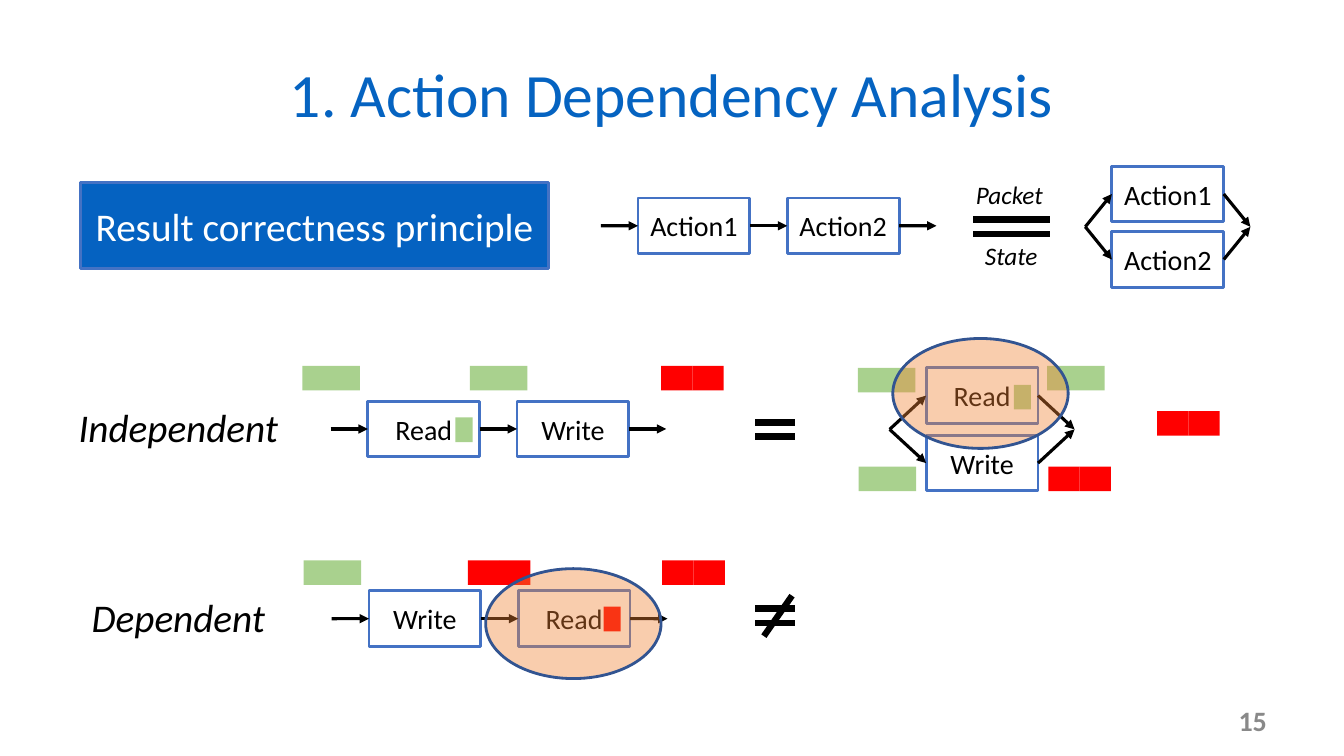
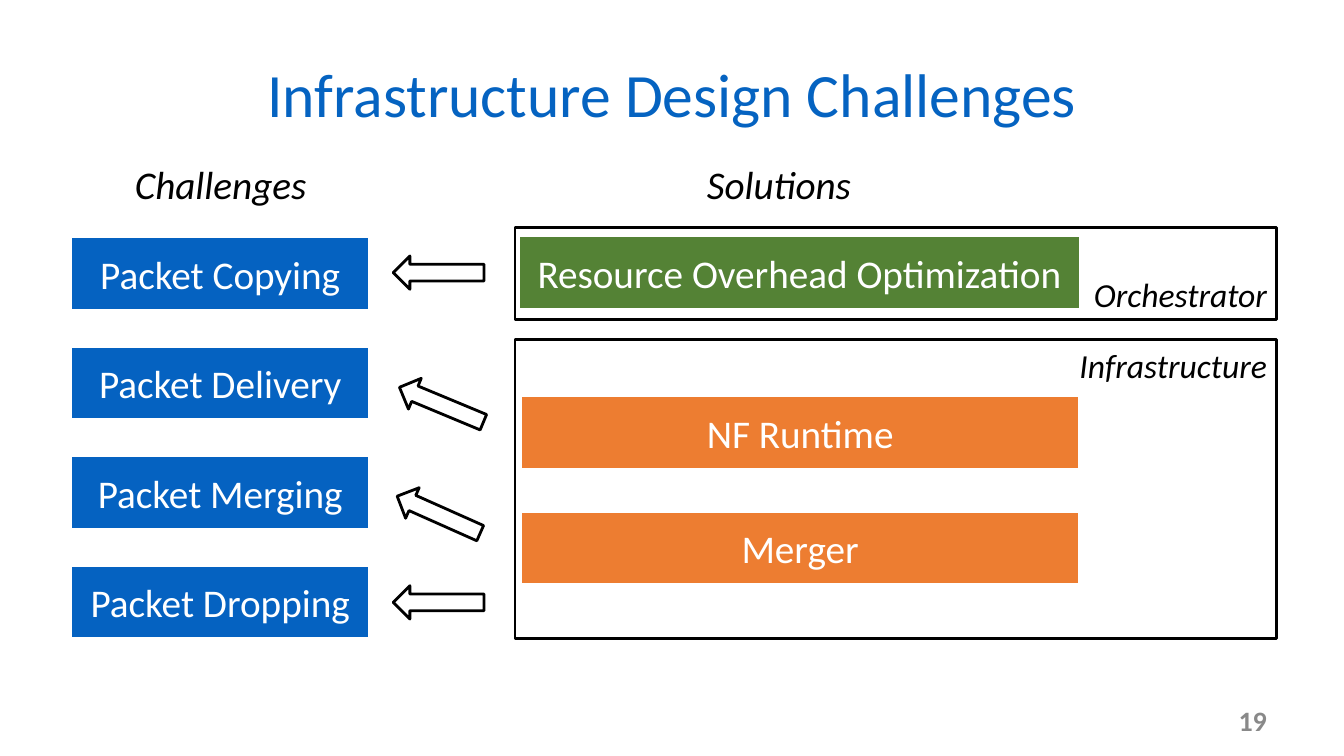
from lxml import etree
from pptx import Presentation
from pptx.dml.color import RGBColor
from pptx.enum.shapes import MSO_CONNECTOR, MSO_SHAPE
from pptx.enum.text import MSO_ANCHOR, PP_ALIGN
from pptx.oxml.ns import qn
from pptx.util import Cm, Pt

RECT, ELLIPSE = MSO_SHAPE.RECTANGLE, MSO_SHAPE.OVAL
EQUAL, LEFT_ARROW = MSO_SHAPE.MATH_EQUAL, MSO_SHAPE.LEFT_ARROW
STRAIGHT = MSO_CONNECTOR.STRAIGHT
CENTER, RIGHT = PP_ALIGN.CENTER, PP_ALIGN.RIGHT
TOP, MIDDLE, BOTTOM = MSO_ANCHOR.TOP, MSO_ANCHOR.MIDDLE, MSO_ANCHOR.BOTTOM

FONT = "Calibri"
WHITE = RGBColor(0xFF, 0xFF, 0xFF)
BLACK = RGBColor(0x00, 0x00, 0x00)
GREY = RGBColor(0x89, 0x89, 0x89)
TITLE_BLUE = RGBColor(0x05, 0x63, 0xC1)
BLUE = RGBColor(0x05, 0x62, 0xC1)
BORDER_BLUE = RGBColor(0x44, 0x72, 0xC4)
DARK_BLUE = RGBColor(0x32, 0x54, 0x91)
LIGHT_GREEN = RGBColor(0xA9, 0xD1, 0x8E)
GREEN = RGBColor(0x54, 0x82, 0x35)
RED = RGBColor(0xFF, 0x00, 0x00)
ORANGE = RGBColor(0xED, 0x7D, 0x31)
HIGHLIGHT = RGBColor(0xF2, 0x82, 0x34)

# Sizes in centimetres
BOX_W, BOX_H, BOX_GAP = 2.82, 1.4, 0.94
PACKET_W, PACKET_H, HALF_W, FIELD_W = 1.45, 0.62, 0.79, 0.43
BAR_H = 1.85


# Basic elements
def write(tf, text, size, color=BLACK, align=CENTER, anchor=MIDDLE,
          bold=False, italic=False):
    tf.vertical_anchor = anchor
    p = tf.paragraphs[0]
    p.text = text
    p.alignment = align
    p.font.name = FONT
    p.font.size = Pt(size)
    p.font.color.rgb = color
    p.font.bold = bold
    p.font.italic = italic


def add_shape(slide, kind, x, y, w, h, fill, line=None):
    sp = slide.shapes.add_shape(kind, Cm(x), Cm(y), Cm(w), Cm(h))
    sp.shadow.inherit = False
    sp.fill.solid()
    sp.fill.fore_color.rgb = fill
    if line is None:
        sp.line.fill.background()
    else:
        sp.line.color.rgb = line
        sp.line.width = Pt(2)
    return sp


def add_bar(slide, text, x, y, w, h, fill, line=WHITE):
    sp = add_shape(slide, RECT, x, y, w, h, fill, line)
    write(sp.text_frame, text, 28, WHITE)


def add_label(slide, text, x, y, w, h, size):
    tf = slide.shapes.add_textbox(Cm(x), Cm(y), Cm(w), Cm(h)).text_frame
    tf.word_wrap = False
    write(tf, text, size, anchor=TOP, italic=True)


def add_line(slide, start, end, width=2.25, arrow=True):
    """Each end is an (x, y) point or a (shape, side) pair."""
    cx = slide.shapes.add_connector(STRAIGHT, 0, 0, 0, 0)
    (a, b), (c, d) = start, end
    if isinstance(a, (int, float)):
        cx.begin_x, cx.begin_y = Cm(a), Cm(b)
    else:
        cx.begin_connect(a, b)
    if isinstance(c, (int, float)):
        cx.end_x, cx.end_y = Cm(c), Cm(d)
    else:
        cx.end_connect(c, d)
    cx.line.color.rgb = BLACK
    cx.line.width = Pt(width)
    if arrow:
        etree.SubElement(cx.line._get_or_add_ln(), qn("a:tailEnd"), type="triangle")
    etree.SubElement(cx._element.spPr, qn("a:effectLst"))


def new_slide(prs, title, number):
    slide = prs.slides.add_slide(prs.slide_layouts[5])
    sp = slide.shapes.title
    sp.left, sp.top, sp.width, sp.height = Cm(1.7), Cm(0.76), Cm(30.48), Cm(3.18)
    write(sp.text_frame, title, 44, TITLE_BLUE)
    tf = slide.shapes.add_textbox(Cm(24.28), Cm(17.65), Cm(7.9), Cm(1.02)).text_frame
    tf.word_wrap = True
    write(tf, number, 20, GREY, RIGHT, bold=True)
    return slide


# Diagram elements
def add_action(slide, text, x, y):
    sp = add_shape(slide, RECT, x, y, BOX_W, BOX_H, WHITE, BORDER_BLUE)
    write(sp.text_frame, text, 20)
    return sp


def add_chain(slide, names, x, y):
    """Two actions in sequence."""
    pitch = BOX_W + BOX_GAP
    first, second = [add_action(slide, n, x + i * pitch, y) for i, n in enumerate(names)]
    mid, right = y + BOX_H / 2, x + pitch + BOX_W
    add_line(slide, (x - BOX_GAP, mid), (first, 1))
    add_line(slide, (first, 3), (second, 1))
    add_line(slide, (second, 3), (right + BOX_GAP, mid))


def add_fork(slide, names, x, y, pitch, reach):
    """Two actions in parallel."""
    mid = y + (pitch + BOX_H) / 2
    for i, name in enumerate(names):
        sp = add_action(slide, name, x, y + i * pitch)
        add_line(slide, (x - reach, mid), (sp, 1))
        add_line(slide, (sp, 3), (x + BOX_W + reach, mid))


def add_packet(slide, x, y, color):
    """A green packet is whole, a red one has two halves."""
    if color == RED:
        for i in range(2):
            add_shape(slide, RECT, x + i * HALF_W, y, HALF_W, PACKET_H, RED)
    else:
        add_shape(slide, RECT, x, y, PACKET_W, PACKET_H, color)


def add_highlight(slide, x, y):
    sp = add_shape(slide, ELLIPSE, x, y, 4.42, 2.77, HIGHLIGHT, DARK_BLUE)
    color = sp.fill._xPr.find(qn("a:solidFill"))[0]
    etree.SubElement(color, qn("a:alpha"), val="40000")


# Slides
def build_dependency(prs):
    slide = new_slide(prs, "1. Action Dependency Analysis", "15")

    # Principle
    add_bar(slide, "Result correctness principle", 2.03, 4.6, 11.79, 2.16,
            BLUE, BORDER_BLUE)
    actions = ("Action1", "Action2")
    add_chain(slide, actions, 16.08, 4.99)
    add_fork(slide, actions, 28.02, 4.19, 1.65, 0.67)

    # Independent and dependent cases
    add_fork(slide, ("Read", "Write"), 23.34, 9.27, 1.7, 0.92)
    add_chain(slide, ("Read", "Write"), 9.27, 10.11)
    add_chain(slide, ("Write", "Read"), 9.3, 14.89)

    # Equality signs
    for x, y, w in ((24.13, 5.21, 2.72), (18.8, 10.31, 1.47), (18.8, 15.01, 1.47)):
        add_shape(slide, EQUAL, x, y, w, 1.02, BLACK, WHITE)
    add_line(slide, (19.96, 15.01), (19.25, 16.03), 4.5, arrow=False)

    # Packets and the fields inside the Read boxes
    for x, y, color in (
        (7.62, 9.22, LIGHT_GREEN), (11.84, 9.22, LIGHT_GREEN), (16.66, 9.22, RED),
        (21.62, 9.27, LIGHT_GREEN), (26.39, 9.22, LIGHT_GREEN),
        (21.64, 11.76, LIGHT_GREEN), (26.42, 11.76, RED), (29.16, 10.36, RED),
        (7.65, 14.12, LIGHT_GREEN), (11.79, 14.12, RED), (16.69, 14.12, RED),
    ):
        add_packet(slide, x, y, color)
    for x, y, color in ((11.48, 10.52, LIGHT_GREEN), (25.55, 9.7, LIGHT_GREEN),
                        (15.21, 15.29, RED)):
        add_shape(slide, RECT, x, y, FIELD_W, PACKET_H, color)

    # Labels and highlights
    add_label(slide, "Independent", 1.7, 10.03, 5.59, 1.45, 28)
    add_label(slide, "Dependent", 2.03, 14.83, 4.93, 1.45, 28)
    add_label(slide, "Packet", 24.33, 4.39, 2.21, 1.02, 18)
    add_label(slide, "State", 24.56, 5.92, 1.85, 1.02, 18)
    add_highlight(slide, 12.24, 14.33)
    add_highlight(slide, 22.5, 8.53)


def build_challenges(prs):
    slide = new_slide(prs, "Infrastructure Design Challenges", "19")

    # Frames
    for text, y, h, anchor in (("Infrastructure", 8.56, 7.54, TOP),
                               ("Orchestrator", 5.74, 2.31, BOTTOM)):
        sp = add_shape(slide, RECT, 12.98, y, 19.2, h, WHITE, BLACK)
        write(sp.text_frame, text, 24, align=RIGHT, anchor=anchor, italic=True)

    # Column headings
    for text, x in (("Challenges", 2.97), ("Solutions", 17.04)):
        sp = add_shape(slide, RECT, x, 3.94, 5.18, 1.4, WHITE, WHITE)
        write(sp.text_frame, text, 28, italic=True)

    # Challenges
    for i, name in enumerate(("Copying", "Delivery", "Merging", "Dropping")):
        add_bar(slide, f"Packet {name}", 1.78, 5.97 + i * 2.76, 7.54, BAR_H, BLUE)

    # Solutions
    add_bar(slide, "Resource Overhead Optimization", 13.06, 5.94, 14.17, BAR_H, GREEN)
    for text, y in (("NF Runtime", 9.98), ("Merger", 12.88)):
        add_bar(slide, text, 13.13, y, 14.07, BAR_H, ORANGE)

    # Arrows from solutions to challenges
    for x, y, angle in ((9.91, 6.45, 0), (9.98, 9.78, 22.6),
                        (9.91, 12.55, 24), (9.91, 14.76, 0)):
        sp = add_shape(slide, LEFT_ARROW, x, y, 2.29, 0.84, WHITE, BLACK)
        sp.rotation = angle


def main():
    prs = Presentation()
    prs.slide_width, prs.slide_height = Cm(33.87), Cm(19.05)
    build_dependency(prs)
    build_challenges(prs)
    prs.save("out.pptx")


if __name__ == "__main__":
    main()
